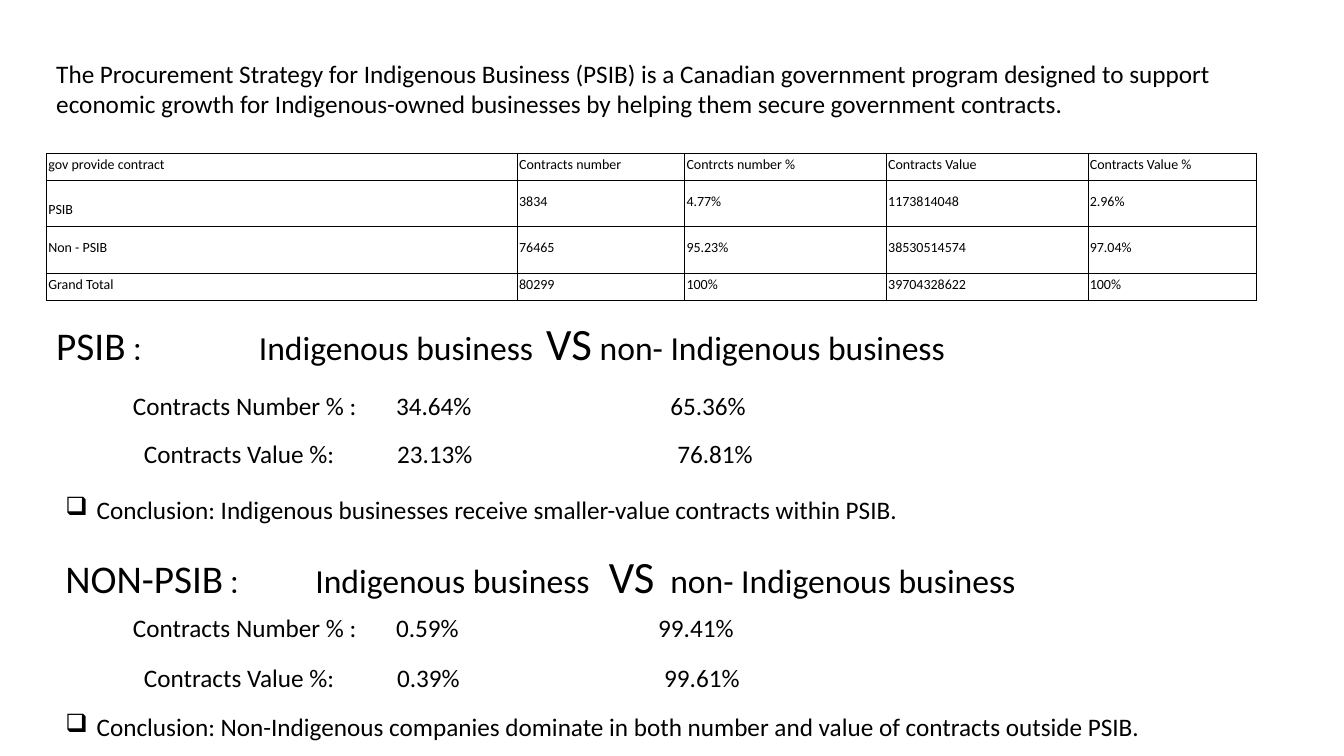
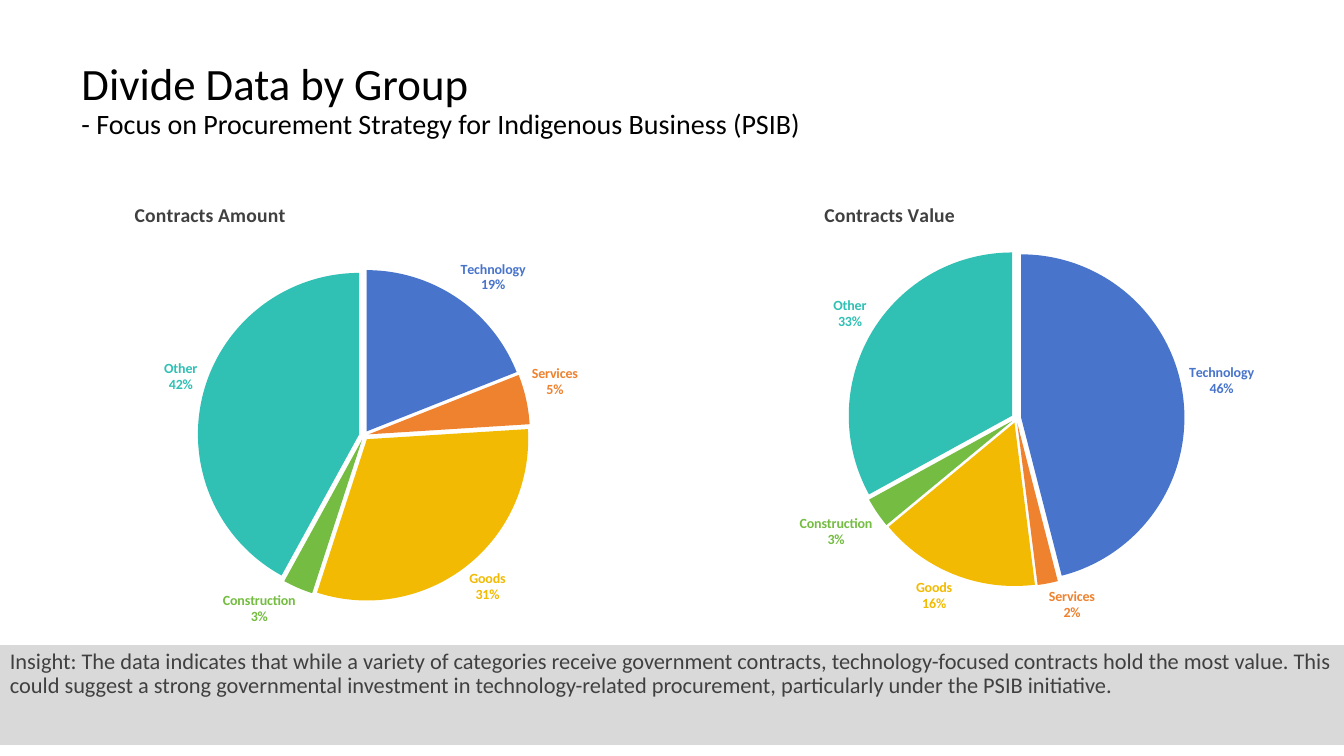
from dataclasses import dataclass
from typing import Any

from lxml import etree
from pptx import Presentation
from pptx import util as u
from pptx.chart import data as cd
from pptx.dml import color as dc
from pptx.enum import chart as ec, shapes, text
from pptx.oxml import ns, parse_xml

FONT = "Calibri"
HUES = {
    "ink": "000000",
    "gray": "404040",
    "band": "D9D9D9",
    "Technology": "4874CB",
    "Services": "EE822F",
    "Goods": "F2BA02",
    "Construction": "75BD42",
    "Other": "30C0B4",
}
GROUPS = ["Technology", "Services", "Goods", "Construction", "Other"]
COLS = [4.67, 1.66, 2, 2, 1.67]
ROWS = [0.27, 0.46, 0.46, 0.27]
CELLS = [
    ["gov provide contract", "Contracts number", "Contrcts number %", "Contracts Value", "Contracts Value %"],
    ["PSIB", "3834", "4.77%", "1173814048", "2.96%"],
    ["Non - PSIB", "76465", "95.23%", "38530514574", "97.04%"],
    ["Grand Total", "80299", "100%", "39704328622", "100%"],
]


@dataclass(frozen=True)
class Box:
    left: float
    top: float
    width: float
    height: float

    def lens(self) -> list[int]:
        return [u.Inches(n) for n in (self.left, self.top, self.width, self.height)]


@dataclass(frozen=True)
class Run:
    text: str
    size: float = 18
    hue: str = "ink"


@dataclass(frozen=True)
class Line:
    box: Box
    runs: tuple[Run, ...]
    tabs: tuple[float, ...] = ()
    mark: str = ""


@dataclass(frozen=True)
class Pie:
    title: str
    box: Box
    vals: tuple[int, ...]
    head: tuple[float, float]
    plot: Box


def tint(font: Any, size: float, hue: str, bold: bool = False) -> None:
    font.name = FONT
    font.size = u.Pt(size)
    font.bold = bold
    font.color.rgb = dc.RGBColor.from_string(HUES[hue])


def fill_para(para: Any, runs: tuple[Run, ...]) -> None:
    for item in runs:
        run = para.add_run()
        run.text = item.text
        tint(run.font, item.size, item.hue)


def add_box(slide: Any, box: Box) -> Any:
    frame = slide.shapes.add_textbox(*box.lens()).text_frame
    frame.word_wrap = True
    return frame


def add_line(slide: Any, line: Line) -> None:
    para = add_box(slide, line.box).paragraphs[0]
    fill_para(para, line.runs)
    props = para._p.get_or_add_pPr()
    if line.mark:
        props.set("marL", str(u.Inches(0.31)))
        props.set("indent", str(-u.Inches(0.31)))
        etree.SubElement(props, ns.qn("a:buChar")).set("char", line.mark)
    if line.tabs:
        stops = etree.SubElement(props, ns.qn("a:tabLst"))
        for place in line.tabs:
            stop = etree.SubElement(stops, ns.qn("a:tab"))
            stop.set("pos", str(u.Inches(place)))
            stop.set("algn", "l")


def head_line(box: Box, name: str, join: str, tabs: tuple[float, ...]) -> Line:
    runs = (
        Run(name, 28), Run(" ：\t"), Run("Indigenous business", 24),
        Run("\t"), Run("VS", 32), Run(join + "non- Indigenous business", 24),
    )
    return Line(box, runs, tabs)


def stat_line(left: float, top: float, parts: list[str], tabs: tuple[float, ...]) -> Line:
    return Line(Box(left, top, 9.47, 0.4), (Run("\t".join(parts)),), tabs)


def close_line(top: float, words: str) -> Line:
    return Line(Box(0.55, top, 12.39, 0.4), (Run(words),), mark="❑")


def edge_cell(cell: Any) -> None:
    props = cell._tc.get_or_add_tcPr()
    for spot, side in enumerate("LRTB"):
        props.insert(spot, parse_xml(
            f'<a:ln{side} {ns.nsdecls("a")} w="6350"><a:solidFill>'
            f'<a:srgbClr val="{HUES["ink"]}"/></a:solidFill></a:ln{side}>'
        ))


def add_grid(slide: Any) -> None:
    box = Box(0.46, 1.52, sum(COLS), sum(ROWS))
    grid = slide.shapes.add_table(len(ROWS), len(COLS), *box.lens()).table
    grid.first_row = grid.horz_banding = False
    for col, width in zip(grid.columns, COLS):
        col.width = u.Inches(width)
    for row, height, words in zip(grid.rows, ROWS, CELLS):
        row.height = u.Inches(height)
        for cell, word in zip(row.cells, words):
            low = word == "PSIB"
            cell.vertical_anchor = text.MSO_ANCHOR.BOTTOM if low else text.MSO_ANCHOR.MIDDLE
            cell.margin_left = u.Inches(0.02)
            cell.margin_right = cell.margin_top = u.Inches(0.01)
            cell.margin_bottom = u.Inches(0.08 if low else 0.05)
            cell.fill.background()
            edge_cell(cell)
            fill_para(cell.text_frame.paragraphs[0], (Run(word, 10),))


def set_place(node: Any, spot: int, parts: dict[str, float], inner: bool = False) -> None:
    for old in node.findall(ns.qn("c:layout")):
        node.remove(old)
    aim = '<c:layoutTarget val="inner"/>' if inner else ""
    modes = "".join(f'<c:{key}Mode val="edge"/>' for key in "xy")
    sizes = "".join(f'<c:{key} val="{val:.4f}"/>' for key, val in parts.items())
    node.insert(spot, parse_xml(
        f'<c:layout {ns.nsdecls("c")}><c:manualLayout>{aim}{modes}{sizes}</c:manualLayout></c:layout>'
    ))


def set_tags(root: Any) -> None:
    flags = {"showVal": "0", "showCatName": "1", "showPercent": "1", "showLegendKey": "0", "showSerName": "0"}
    for key, val in flags.items():
        for node in root.iter(ns.qn("c:" + key)):
            node.set("val", val)
    for tag in root.iter(ns.qn("c:dLbl")):
        etree.SubElement(tag, ns.qn("c:separator")).text = "\n"
    for wedge in root.iter(ns.qn("c:dPt")):
        gap = etree.Element(ns.qn("c:explosion"))
        gap.set("val", "3")
        wedge.find(ns.qn("c:spPr")).addprevious(gap)


def add_pie(slide: Any, pie: Pie) -> None:
    data = cd.CategoryChartData()
    data.categories = GROUPS
    data.add_series("Series 1", pie.vals)
    chart = slide.shapes.add_chart(ec.XL_CHART_TYPE.PIE, *pie.box.lens(), data).chart
    tint(chart.font, 10, "ink")
    chart.has_legend = False
    chart.has_title = True
    para = chart.chart_title.text_frame.paragraphs[0]
    fill_para(para, (Run(pie.title, 14, "gray"),))
    para.runs[0].font.bold = True
    plot = chart.plots[0]
    plot.vary_by_categories = True
    for spot, group in enumerate(GROUPS):
        point = plot.series[0].points[spot]
        point.format.fill.solid()
        point.format.fill.fore_color.rgb = dc.RGBColor.from_string(HUES[group])
        tint(point.data_label.font, 10, group, True)
        point.data_label.position = ec.XL_LABEL_POSITION.OUTSIDE_END
    root = chart.element
    set_tags(root)
    box, area = pie.box, pie.plot
    wide, high = box.width, box.height
    left, top = pie.head
    set_place(root.find(".//" + ns.qn("c:title")), 1,
              {"x": (left - box.left) / wide, "y": (top - box.top) / high})
    set_place(root.find(".//" + ns.qn("c:plotArea")), 0, {
        "x": (area.left - box.left) / wide, "y": (area.top - box.top) / high,
        "w": area.width / wide, "h": area.height / high,
    }, True)


def add_title(slide: Any) -> None:
    frame = add_box(slide, Box(0.71, 0.28, 11.5, 1.45))
    frame.vertical_anchor = text.MSO_ANCHOR.MIDDLE
    para = frame.paragraphs[0]
    para.line_spacing = 0.9
    fill_para(para, (Run("Divide Data by Group", 32),))
    para.add_line_break()
    fill_para(para, (Run("- Focus on Procurement Strategy for Indigenous Business (PSIB)", 20),))


def add_band(slide: Any, words: str) -> None:
    band = slide.shapes.add_shape(shapes.MSO_SHAPE.RECTANGLE, *Box(0, 6.4, 13.33, 0.99).lens())
    band.shadow.inherit = False
    band.fill.solid()
    band.fill.fore_color.rgb = dc.RGBColor.from_string(HUES["band"])
    band.line.fill.background()
    frame = band.text_frame
    frame.word_wrap = True
    frame.vertical_anchor = text.MSO_ANCHOR.TOP
    para = frame.paragraphs[0]
    para.alignment = text.PP_ALIGN.LEFT
    para.line_spacing = 0.9
    fill_para(para, (Run(words, 16, "gray"),))


LINES = [
    Line(Box(0.46, 0.53, 12.14, 0.71), (Run(
        "The Procurement Strategy for Indigenous Business (PSIB) is a Canadian government program "
        "designed to support economic growth for Indigenous-owned businesses by helping them "
        "secure government contracts."),)),
    head_line(Box(0.46, 3.08, 12, 0.64), "PSIB", " ", (2.01, 4.86)),
    stat_line(1.22, 3.82, ["Contracts Number % :", "34.64%", "65.36%"], (2.61, 5.33)),
    stat_line(1.33, 4.3, ["Contracts Value %:", "23.13%", "76.81%"], (2.51, 5.29)),
    close_line(4.86, "Conclusion: Indigenous businesses receive smaller-value contracts within PSIB."),
    head_line(Box(0.55, 5.39, 12, 0.64), "NON-PSIB", "\t", (2.48, 5.39, 6)),
    stat_line(1.22, 6.03, ["Contracts Number % :", "0.59%", "99.41%"], (2.61, 5.21)),
    stat_line(1.33, 6.52, ["Contracts Value %:", "0.39%", "99.61%"], (2.51, 5.16)),
    close_line(7.01, "Conclusion: Non-Indigenous companies dominate in both number and value "
                     "of contracts outside PSIB."),
]
PIES = [
    Pie("Contracts Amount", Box(0.1, 1.88, 7.17, 4.49), (19, 5, 31, 3, 42),
        (1.3, 1.96), Box(2.01, 2.72, 3.2, 3.2)),
    Pie("Contracts Value", Box(7.15, 1.88, 5.91, 4.38), (46, 2, 16, 3, 33),
        (8.14, 1.96), Box(8.46, 2.53, 3.24, 3.24)),
]


def main() -> None:
    deck = Presentation()
    deck.slide_width, deck.slide_height = u.Inches(13.33), u.Inches(7.5)
    blank = deck.slide_layouts[6]
    first = deck.slides.add_slide(blank)
    add_grid(first)
    for line in LINES:
        add_line(first, line)
    second = deck.slides.add_slide(blank)
    add_title(second)
    add_band(second, "Insight: The data indicates that while a variety of categories receive government "
                     "contracts, technology-focused contracts hold the most value. This could suggest a "
                     "strong governmental investment in technology-related procurement, particularly "
                     "under the PSIB initiative.")
    for pie in PIES:
        add_pie(second, pie)
    deck.save("out.pptx")


if __name__ == "__main__":
    main()
